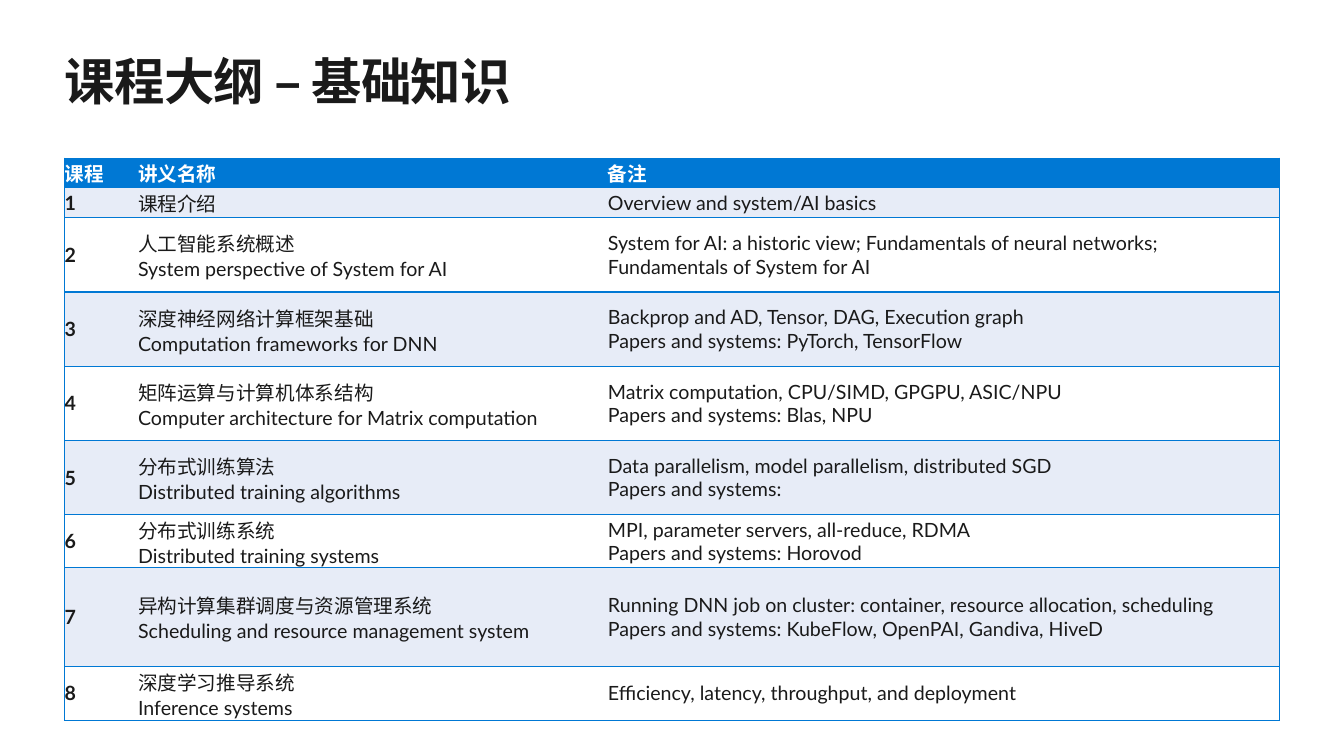
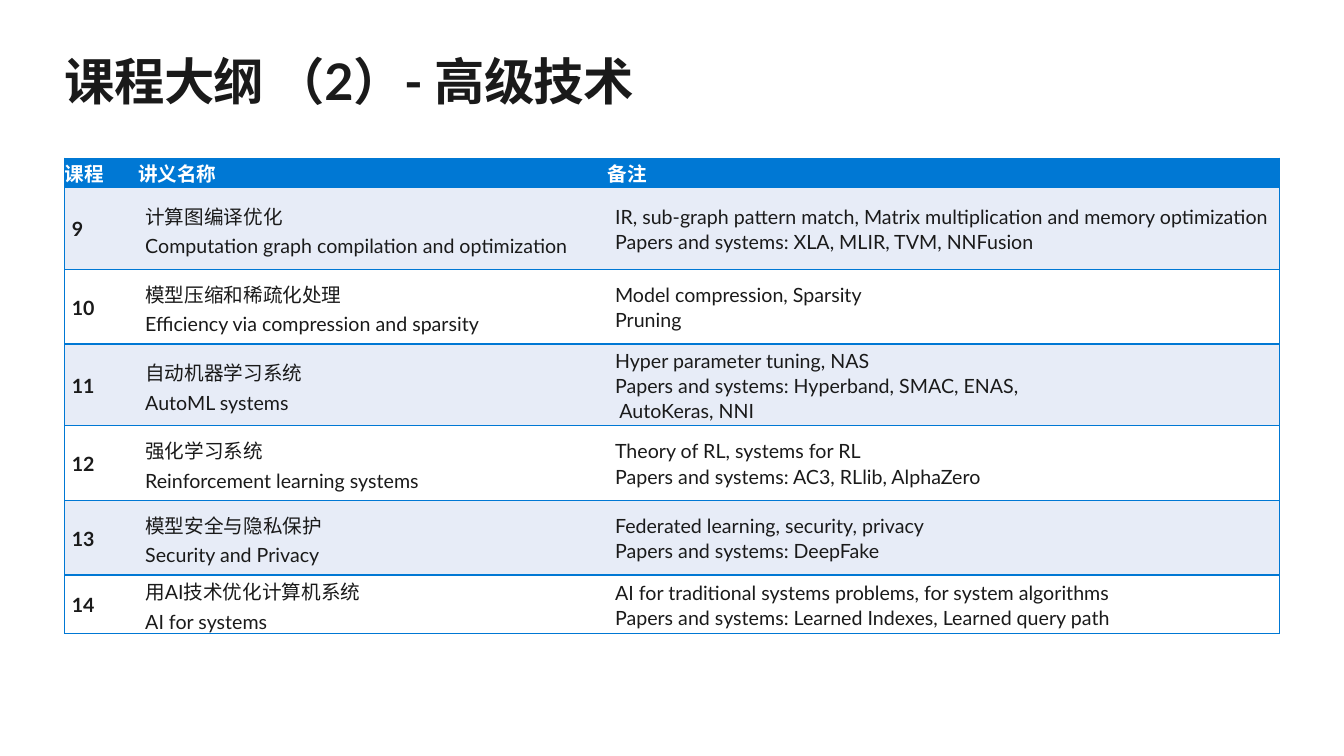
from lxml import etree
from pptx import Presentation
from pptx.dml.color import RGBColor
from pptx.enum.text import MSO_ANCHOR
from pptx.oxml.ns import qn
from pptx.util import Cm, Pt

FONT = "Lato"
BLUE, PALE, WHITE, INK = "0078D4", "E7ECF7", "FFFFFF", "1A1A1A"
LEFT, WIDTH = 1.63, 30.61
COLUMNS = [1.85, 11.84, 16.92]
HEADER = ("课程", "讲义名称", "备注")
HEADER_HEIGHT = 0.74

BASICS = [
    (0.76, "1", "课程介绍", "Overview and system/AI basics"),
    (1.87, "2", "人工智能系统概述\nSystem perspective of System for AI",
     "System for AI: a historic view; Fundamentals of neural networks; "
     "Fundamentals of System for AI"),
    (1.87, "3", "深度神经网络计算框架基础\nComputation frameworks for DNN",
     "Backprop and AD, Tensor, DAG, Execution graph\n"
     "Papers and systems: PyTorch, TensorFlow"),
    (1.87, "4", "矩阵运算与计算机体系结构\nComputer architecture for Matrix computation",
     "Matrix computation, CPU/SIMD, GPGPU, ASIC/NPU\n"
     "Papers and systems: Blas, NPU"),
    (1.87, "5", "分布式训练算法\nDistributed training algorithms",
     "Data parallelism, model parallelism, distributed SGD\n"
     "Papers and systems:"),
    (1.34, "6", "分布式训练系统\nDistributed training systems",
     "MPI, parameter servers, all-reduce, RDMA\n"
     "Papers and systems: Horovod"),
    (2.48, "7", "异构计算集群调度与资源管理系统\nScheduling and resource management system",
     "Running DNN job on cluster: container, resource allocation, scheduling\n"
     "Papers and systems: KubeFlow, OpenPAI, Gandiva, HiveD"),
    (1.36, "8", "深度学习推导系统\nInference systems",
     "Efficiency, latency, throughput, and deployment"),
]
ADVANCED = [
    (2.06, "9", "计算图编译优化\nComputation graph compilation and optimization",
     "IR, sub-graph pattern match, Matrix multiplication and memory optimization\n"
     "Papers and systems: XLA, MLIR, TVM, NNFusion"),
    (1.88, "10", "模型压缩和稀疏化处理\nEfficiency via compression and sparsity",
     "Model compression, Sparsity\nPruning"),
    (2.06, "11", "自动机器学习系统\nAutoML systems",
     "Hyper parameter tuning, NAS\n"
     "Papers and systems: Hyperband, SMAC, ENAS,\n AutoKeras, NNI"),
    (1.88, "12", "强化学习系统\nReinforcement learning systems",
     "Theory of RL, systems for RL\n"
     "Papers and systems: AC3, RLlib, AlphaZero"),
    (1.88, "13", "模型安全与隐私保护\nSecurity and Privacy",
     "Federated learning, security, privacy\n"
     "Papers and systems: DeepFake"),
    (1.48, "14", "用AI技术优化计算机系统\nAI for systems",
     "AI for traditional systems problems, for system algorithms\n"
     "Papers and systems: Learned Indexes, Learned query path"),
]


def rgb(value):
    return RGBColor.from_string(value)


def set_font(font, size, color, bold):
    font.name, font.size, font.bold = FONT, Pt(size), bold
    font.color.rgb = rgb(color)


def add_title(s, text):
    box = s.shapes.add_textbox(Cm(LEFT), Cm(1.27), Cm(WIDTH), Cm(1.55))
    tf = box.text_frame
    tf.word_wrap = True
    tf.margin_left = tf.margin_right = tf.margin_top = tf.margin_bottom = 0
    p = tf.paragraphs[0]
    r = p.add_run()
    r.text = text
    set_font(p.font, 36, INK, True)
    r.font._element.set("spc", "-50")


def set_borders(cell, visible):
    tc_pr = cell._tc.get_or_add_tcPr()
    for i, edge in enumerate("LRTB"):
        ln = etree.Element(qn(f"a:ln{edge}"), w=str(Pt(1)))
        if edge in visible:
            fill = etree.SubElement(ln, qn("a:solidFill"))
            etree.SubElement(fill, qn("a:srgbClr"), val=BLUE)
        else:
            etree.SubElement(ln, qn("a:noFill"))
        tc_pr.insert(i, ln)


def fill_cell(cell, text, fill, color, bold, inset=0, spacing=None, gap=0):
    cell.fill.solid()
    cell.fill.fore_color.rgb = rgb(fill)
    cell.vertical_anchor = MSO_ANCHOR.MIDDLE
    cell.margin_left = cell.margin_right = Cm(inset)
    cell.margin_top = cell.margin_bottom = 0
    tf = cell.text_frame
    tf.text = text
    for i, p in enumerate(tf.paragraphs):
        set_font(p.font, 14, color, bold)
        if spacing:
            p.line_spacing = spacing
        if i and gap:
            p.space_before = Pt(gap)


def add_syllabus(s, lessons, inset=0, spacing=None, gap=0):
    rows = [(HEADER_HEIGHT, *HEADER), *lessons]
    height = sum(row[0] for row in rows)
    table = s.shapes.add_table(len(rows), len(COLUMNS), Cm(LEFT), Cm(3.99),
                               Cm(WIDTH), Cm(height)).table
    for column, width in zip(table.columns, COLUMNS):
        column.width = Cm(width)
    for i, (row_height, *texts) in enumerate(rows):
        table.rows[i].height = Cm(row_height)
        for j, text in enumerate(texts):
            cell = table.cell(i, j)
            if i == 0:
                fill_cell(cell, text, BLUE, WHITE, True)
            else:
                fill_cell(cell, text, PALE if i % 2 else WHITE, INK, j == 0,
                          inset, spacing, gap if j == 1 else 0)
            set_borders(cell, ("LTB", "TB", "RTB")[j])


def main():
    prs = Presentation()
    prs.slide_width, prs.slide_height = Cm(33.87), Cm(19.05)
    for title, lessons, style in (
        ("课程大纲 – 基础知识", BASICS, {}),
        ("课程大纲 （2）- 高级技术", ADVANCED,
         {"inset": 0.18, "spacing": 1.07, "gap": 2}),
    ):
        s = prs.slides.add_slide(prs.slide_layouts[6])
        add_title(s, title)
        add_syllabus(s, lessons, **style)
    prs.save("out.pptx")


if __name__ == "__main__":
    main()
